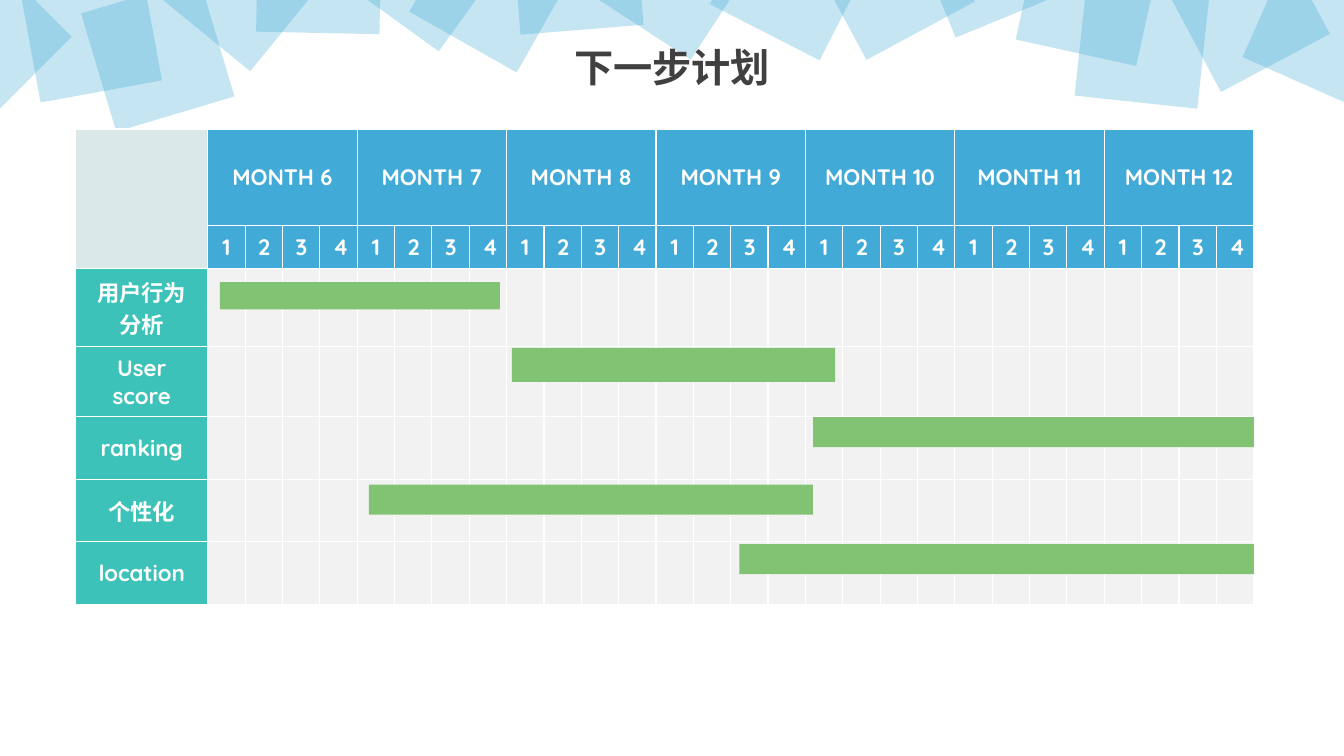
from dataclasses import dataclass

from lxml.etree import SubElement
from pptx import Presentation
from pptx.dml.color import RGBColor
from pptx.enum.shapes import MSO_SHAPE as Preset
from pptx.enum.text import MSO_ANCHOR as Anchor, MSO_AUTO_SIZE as AutoSize, PP_ALIGN as Align
from pptx.oxml.ns import qn
from pptx.util import Inches, Pt


@dataclass(frozen=True)
class Theme:
    blue: str = "41AAD7"
    teal: str = "3CC2B8"
    green: str = "81C373"
    corner: str = "DAE8E7"
    empty: str = "F2F2F2"
    white: str = "FFFFFF"
    title: str = "404040"
    latin: str = "Quicksand"
    chinese: str = "Noto Sans CJK SC"
    title_size: int = 28
    table_size: int = 16
    diamond_opacity: int = 30


@dataclass(frozen=True)
class Diamond:
    """Centre in percent of the slide, turn in degrees."""
    x: float
    y: float
    turn: float


@dataclass(frozen=True)
class Task:
    """Bar in weeks; row height in percent of the slide; drop and thickness in shares of the row."""
    label: str
    start: float
    weeks: float
    row: float
    drop: float
    thickness: float


THEME = Theme()
WIDTH, HEIGHT = Inches(13.33), Inches(7.5)

# Plan grid, in percent of the slide
LEFT, TOP = 5.63, 17.07
LABEL_COLUMN, WEEK_COLUMN = 9.83, 2.78
MONTH_ROW, WEEK_ROW = 12.8, 5.6
MONTHS = range(6, 13)
WEEKS = 4
DIAMOND_SIZE = 12.98

TASKS = [
    Task("用户行为分析", 0.32, 7.5, 10.27, 0.18, 0.35),
    Task("User score", 8.14, 8.65, 9.2, 0.03, 0.49),
    Task("ranking", 16.2, 11.8, 8.27, 0.03, 0.48),
    Task("个性化", 4.31, 11.89, 8.27, 0.11, 0.48),
    Task("location", 14.23, 13.77, 8.27, 0.06, 0.48),
]

DIAMONDS = [
    Diamond(11.74, 7.27, 28.4), Diamond(6.71, 4.07, 304.6),
    Diamond(17.96, -2.07, 354.2), Diamond(-1.16, 4.87, 270),
    Diamond(36.71, -1.53, 74.5), Diamond(31.61, -4.6, 350.8),
    Diamond(42.94, -4.2, 40.4), Diamond(23.74, -3.8, 316.2),
    Diamond(85.01, 5.4, 51.1), Diamond(81.04, -1, 327.4),
    Diamond(92.74, 1.13, 16.9), Diamond(73.61, -5.67, 292.7),
    Diamond(98.51, 3.4, 338.9), Diamond(66.34, -3.13, 286.7),
    Diamond(58.99, -3, 252.1), Diamond(50.06, -3.4, 258.2),
]


def across(percent: float) -> int:
    return round(WIDTH * percent / 100)


def down(percent: float) -> int:
    return round(HEIGHT * percent / 100)


def add_plain_shape(page, preset, left: int, top: int, width: int, height: int, color: str):
    shape = page.shapes.add_shape(preset, left, top, width, height)
    shape.shadow.inherit = False
    shape.fill.solid()
    shape.fill.fore_color.rgb = RGBColor.from_string(color)
    shape.line.fill.background()
    return shape


def add_span(para, text: str, size: int, color: str, latin: str) -> None:
    span = para.add_run()
    span.text = text
    font = span.font
    font.size, font.bold, font.name = Pt(size), True, latin
    font.color.rgb = RGBColor.from_string(color)
    SubElement(span._r.rPr, qn("a:ea"), typeface=THEME.chinese)


def add_diamond(page, diamond: Diamond) -> None:
    size = across(DIAMOND_SIZE)
    shape = add_plain_shape(page, Preset.DIAMOND, across(diamond.x) - size // 2,
                            down(diamond.y) - size // 2, size, size, THEME.blue)
    shape.rotation = diamond.turn
    color = shape._element.spPr.find(qn("a:solidFill")).find(qn("a:srgbClr"))
    SubElement(color, qn("a:alpha"), val=str(THEME.diamond_opacity * 1000))


def fill_title(page, text: str) -> None:
    title = page.shapes.title
    title.left, title.top = across(35.41), down(6)
    title.width, title.height = across(29.18), down(6.4)
    frame = title.text_frame
    frame.auto_size, frame.word_wrap = AutoSize.NONE, True
    frame.vertical_anchor = Anchor.MIDDLE
    para = frame.paragraphs[0]
    para.alignment, para.line_spacing = Align.CENTER, 0.9
    add_span(para, text, THEME.title_size, THEME.title, THEME.chinese)
    page.shapes._spTree.append(title._element)  # in front of the diamonds


def style_cell(cell, color: str) -> None:
    properties = cell._tc.get_or_add_tcPr()
    for side in ("a:lnL", "a:lnR", "a:lnT", "a:lnB"):
        border = SubElement(properties, qn(side), w=str(Pt(1)))
        SubElement(SubElement(border, qn("a:solidFill")), qn("a:srgbClr"), val=THEME.white)
    cell.fill.solid()
    cell.fill.fore_color.rgb = RGBColor.from_string(color)


def write_cell(cell, text: str) -> None:
    cell.vertical_anchor = Anchor.MIDDLE
    cell.margin_left = cell.margin_right = Inches(0.13)
    cell.margin_top = cell.margin_bottom = Inches(0.07)
    para = cell.text_frame.paragraphs[0]
    para.alignment = Align.CENTER
    add_span(para, text, THEME.table_size, THEME.white, THEME.latin)


def cell_color(row: int, column: int) -> str:
    if row < 2:
        return THEME.blue if column else THEME.corner
    return THEME.empty if column else THEME.teal


def add_plan(page) -> None:
    columns = [LABEL_COLUMN] + [WEEK_COLUMN] * (len(MONTHS) * WEEKS)
    rows = [MONTH_ROW, WEEK_ROW] + [task.row for task in TASKS]
    table = page.shapes.add_table(len(rows), len(columns), across(LEFT), down(TOP),
                                  across(sum(columns)), down(sum(rows))).table
    table.first_row = table.horz_banding = False
    for column, width in enumerate(columns):
        table.columns[column].width = across(width)
    for row, height in enumerate(rows):
        table.rows[row].height = down(height)
        for column in range(len(columns)):
            style_cell(table.cell(row, column), cell_color(row, column))

    # Month and week headings
    table.cell(0, 0).merge(table.cell(1, 0))
    for index, month in enumerate(MONTHS):
        first = 1 + index * WEEKS
        table.cell(0, first).merge(table.cell(0, first + WEEKS - 1))
        write_cell(table.cell(0, first), f"MONTH {month}")
        for week in range(WEEKS):
            write_cell(table.cell(1, first + week), str(week + 1))

    # Task labels
    for row, task in enumerate(TASKS, start=2):
        write_cell(table.cell(row, 0), task.label)


def add_bars(page) -> None:
    row_top = TOP + MONTH_ROW + WEEK_ROW
    for task in TASKS:
        add_plain_shape(page, Preset.RECTANGLE,
                        across(LEFT + LABEL_COLUMN + task.start * WEEK_COLUMN),
                        down(row_top + task.drop * task.row),
                        across(task.weeks * WEEK_COLUMN),
                        down(task.thickness * task.row), THEME.green)
        row_top += task.row


def main() -> None:
    deck = Presentation()
    deck.slide_width, deck.slide_height = WIDTH, HEIGHT
    page = deck.slides.add_slide(deck.slide_layouts.get_by_name("Title Only"))
    for diamond in DIAMONDS:
        add_diamond(page, diamond)
    fill_title(page, "下一步计划")
    add_plan(page)
    add_bars(page)
    deck.save("out.pptx")


if __name__ == "__main__":
    main()
